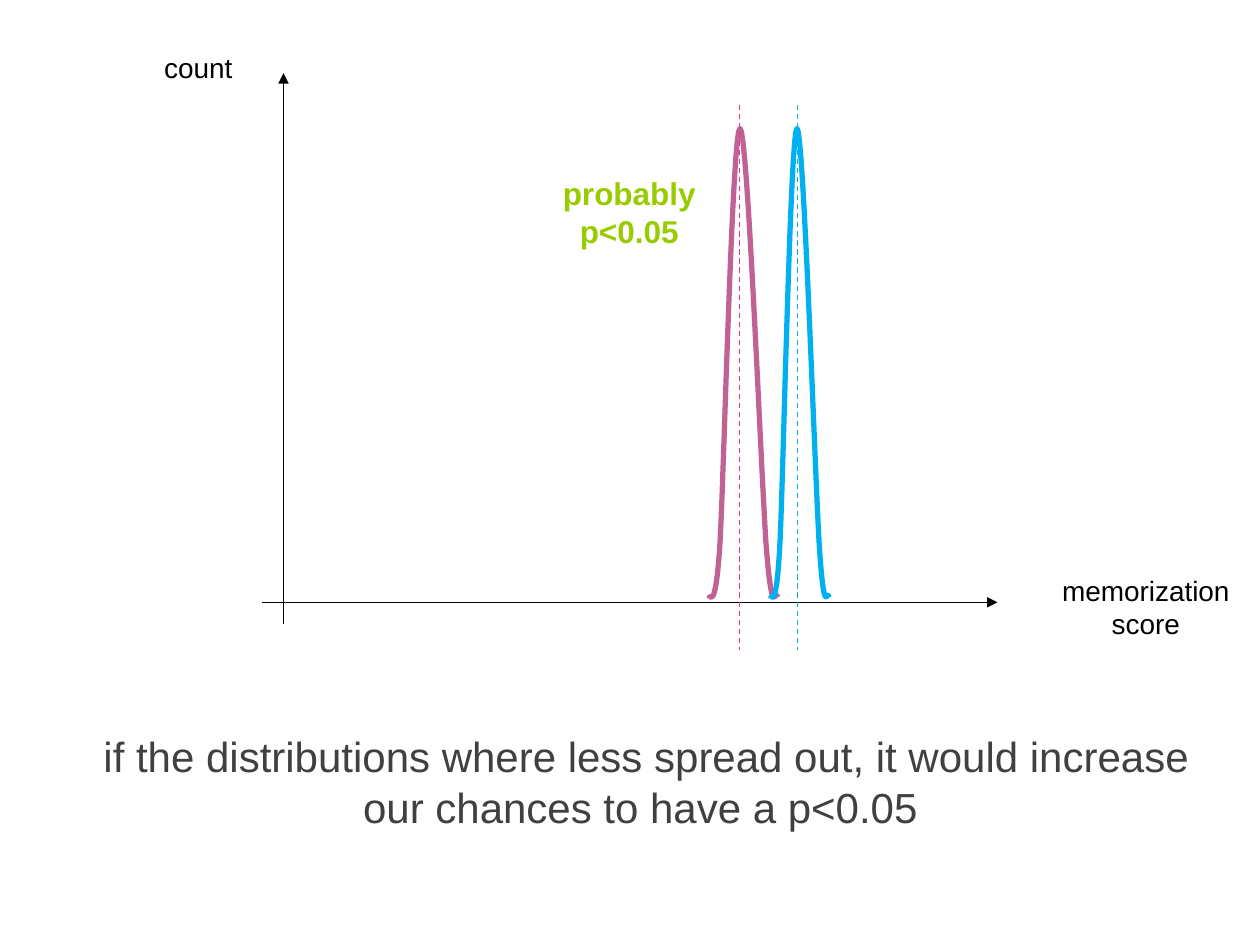
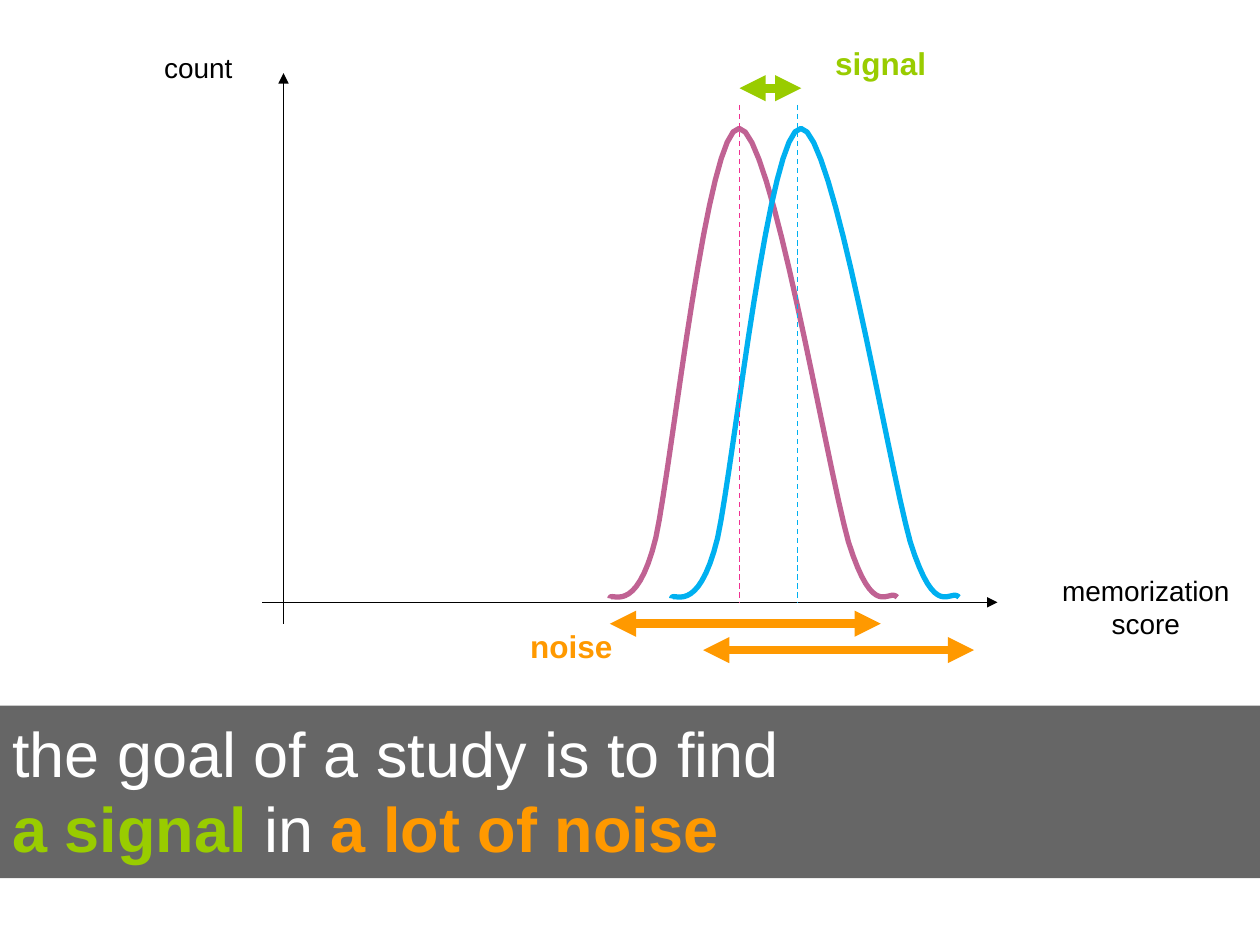
from lxml import etree
from pptx import Presentation
from pptx.dml.color import RGBColor
from pptx.enum.dml import MSO_LINE
from pptx.enum.shapes import MSO_CONNECTOR, MSO_SHAPE
from pptx.enum.text import MSO_ANCHOR, MSO_AUTO_SIZE, PP_ALIGN
from pptx.oxml.ns import qn
from pptx.util import Pt

STRAIGHT = MSO_CONNECTOR.STRAIGHT
RECT, ROUNDED = MSO_SHAPE.RECTANGLE, MSO_SHAPE.ROUNDED_RECTANGLE
LEFT, CENTER = PP_ALIGN.LEFT, PP_ALIGN.CENTER
TOP, BOTTOM = MSO_ANCHOR.TOP, MSO_ANCHOR.BOTTOM
FIT_SHAPE = MSO_AUTO_SIZE.SHAPE_TO_FIT_TEXT
DASH = MSO_LINE.DASH

FONT = "Arial"
COLORS = {
    "black": "000000",
    "white": "FFFFFF",
    "text": "404040",
    "mauve": "C06293",
    "pink": "F03191",
    "blue": "00B0F0",
    "signal": "99CC00",
    "noise": "FF9900",
}
AXIS_Y = 344.2
MEAN_PINK, MEAN_BLUE = 422.6, 455.8
BELL_START = (0, 342)
BELL_SEGMENTS = [
    [(0, 337), (0.09, 354.2), (0.16, 307.4)],
    [(0.22, 260.6), (0.34, 72.7), (0.45, 73.4)],
    [(0.56, 73.4), (0.75, 262), (0.83, 309.6)],
    [(0.92, 356.4), (0.97, 335.5), (1, 341.3)],
]
STEPS = 16


def rgb(name):
    return RGBColor.from_string(COLORS[name])


def bezier(points, t):
    weights = ((1 - t) ** 3, 3 * t * (1 - t) ** 2, 3 * t * t * (1 - t), t ** 3)
    return tuple(sum(w * p[i] for w, p in zip(weights, points)) for i in (0, 1))


def add_bell(slide, left, width, color):
    points = [BELL_START]
    for segment in BELL_SEGMENTS:
        controls = [points[-1], *segment]
        points += [bezier(controls, step / STEPS) for step in range(1, STEPS + 1)]
    outline = [(Pt(left + x * width), Pt(y)) for x, y in points]
    builder = slide.shapes.build_freeform(*outline[0])
    builder.add_line_segments(outline[1:], close=False)
    sp = builder.convert_to_shape()
    sp.shadow.inherit = False
    sp.fill.background()
    sp.line.color.rgb = rgb(color)
    sp.line.width = Pt(3)


def add_line(slide, start, end, color, width=0.75, dash=None, arrows=()):
    line = slide.shapes.add_connector(STRAIGHT, *map(Pt, start + end))
    line.line.color.rgb = rgb(color)
    line.line.width = Pt(width)
    if dash:
        line.line.dash_style = dash
    ln = line.line._get_or_add_ln()
    for arrow in arrows:
        etree.SubElement(ln, qn(f"a:{arrow}"), type="triangle")
    etree.SubElement(line._element.spPr, qn("a:effectLst"))


def add_span(slide, left, right, y, color):
    add_line(slide, (left, y), (right, y), color, 5, arrows=("headEnd", "tailEnd"))


def style(font, size, color, bold=False):
    font.name = FONT
    font.size = Pt(size)
    font.bold = bold
    font.color.rgb = rgb(color)


def fill_text(tf, lines, size, color, bold=False, align=CENTER):
    for i, text in enumerate(lines):
        p = tf.paragraphs[0] if i == 0 else tf.add_paragraph()
        p.text = text
        p.alignment = align
        style(p.font, size, color, bold)


def add_axis_label(slide, box, text):
    sp = slide.shapes.add_shape(ROUNDED, *map(Pt, box))
    sp.shadow.inherit = False
    sp.fill.background()
    sp.line.fill.background()
    tf = sp.text_frame
    tf.word_wrap = True
    tf.vertical_anchor = TOP
    fill_text(tf, [text], 16, "black")


def add_callout(slide, box, lines, color, align=LEFT):
    tf = slide.shapes.add_textbox(*map(Pt, box)).text_frame
    tf.word_wrap = False
    tf.auto_size = FIT_SHAPE
    fill_text(tf, lines, 18, color, True, align)


def add_statement(slide, box, text):
    tf = slide.shapes.add_textbox(*map(Pt, box)).text_frame
    tf.word_wrap = True
    fill_text(tf, [text], 24, "text")


def add_band(slide, box, lines):
    sp = slide.shapes.add_shape(RECT, *map(Pt, box))
    sp.shadow.inherit = False
    sp.fill.solid()
    sp.fill.fore_color.rgb = rgb("black")
    fill_color = sp._element.spPr.find(qn("a:solidFill"))[0]
    etree.SubElement(fill_color, qn("a:alpha"), val="60000")
    sp.line.fill.background()
    tf = sp.text_frame
    tf.word_wrap = True
    tf.auto_size = FIT_SHAPE
    tf.vertical_anchor = BOTTOM
    tf.margin_bottom = Pt(7.2)
    for i, runs in enumerate(lines):
        p = tf.paragraphs[0] if i == 0 else tf.add_paragraph()
        p.alignment = LEFT
        for text, color, bold in runs:
            r = p.add_run()
            r.text = text
            style(r.font, 36, color, bold)


def add_plot(slide, pink_bell, blue_bell, mean_bottom):
    add_bell(slide, *pink_bell, "mauve")
    add_bell(slide, *blue_bell, "blue")
    add_line(slide, (150, AXIS_Y), (570, AXIS_Y), "black", arrows=("tailEnd",))
    add_line(slide, (162, 356.4), (162, 41.8), "black", arrows=("tailEnd",))
    for x, color in ((MEAN_BLUE, "blue"), (MEAN_PINK, "pink")):
        add_line(slide, (x, 60), (x, mean_bottom), color, dash=DASH)
    add_axis_label(slide, (84.2, 23.8, 58.3, 27.4), "count")
    add_axis_label(slide, (583.9, 321.1, 141.8, 59), "memorization score")


def add_narrow_slide(prs, layout):
    slide = prs.slides.add_slide(layout)
    add_plot(slide, (405.4, 38.9), (440.6, 33.1), 371.5)
    add_statement(slide, (48.2, 414, 642.2, 47.5),
                  "if the distributions where less spread out, "
                  "it would increase our chances to have a p<0.05 ")
    add_callout(slide, (313.9, 95.8, 91.4, 51.1),
                ["probably", "p<0.05"], "signal", CENTER)


def add_noise_slide(prs, layout):
    slide = prs.slides.add_slide(layout)
    add_plot(slide, (348.5, 164.2), (383.8, 164.2), AXIS_Y)
    add_band(slide, (0, 403.2, 720, 98.6), [
        [("the goal of a study is to find", "white", False)],
        [("a signal ", "signal", True), ("in ", "white", False),
         ("a lot of noise", "noise", True)],
    ])
    add_span(slide, MEAN_PINK, 457.9, 50.4, "signal")
    add_callout(slide, (470.2, 21.6, 67, 28.8), ["signal"], "signal")
    add_callout(slide, (295.9, 355, 61.9, 28.8), ["noise"], "noise")
    for left, y in ((348.5, 356.4), (401.8, 371.5)):
        add_span(slide, left, left + 154.8, y, "noise")


def main():
    prs = Presentation()
    prs.slide_width, prs.slide_height = Pt(720), Pt(540)
    blank = prs.slide_layouts[6]
    add_narrow_slide(prs, blank)
    add_noise_slide(prs, blank)
    prs.save("out.pptx")


if __name__ == "__main__":
    main()
